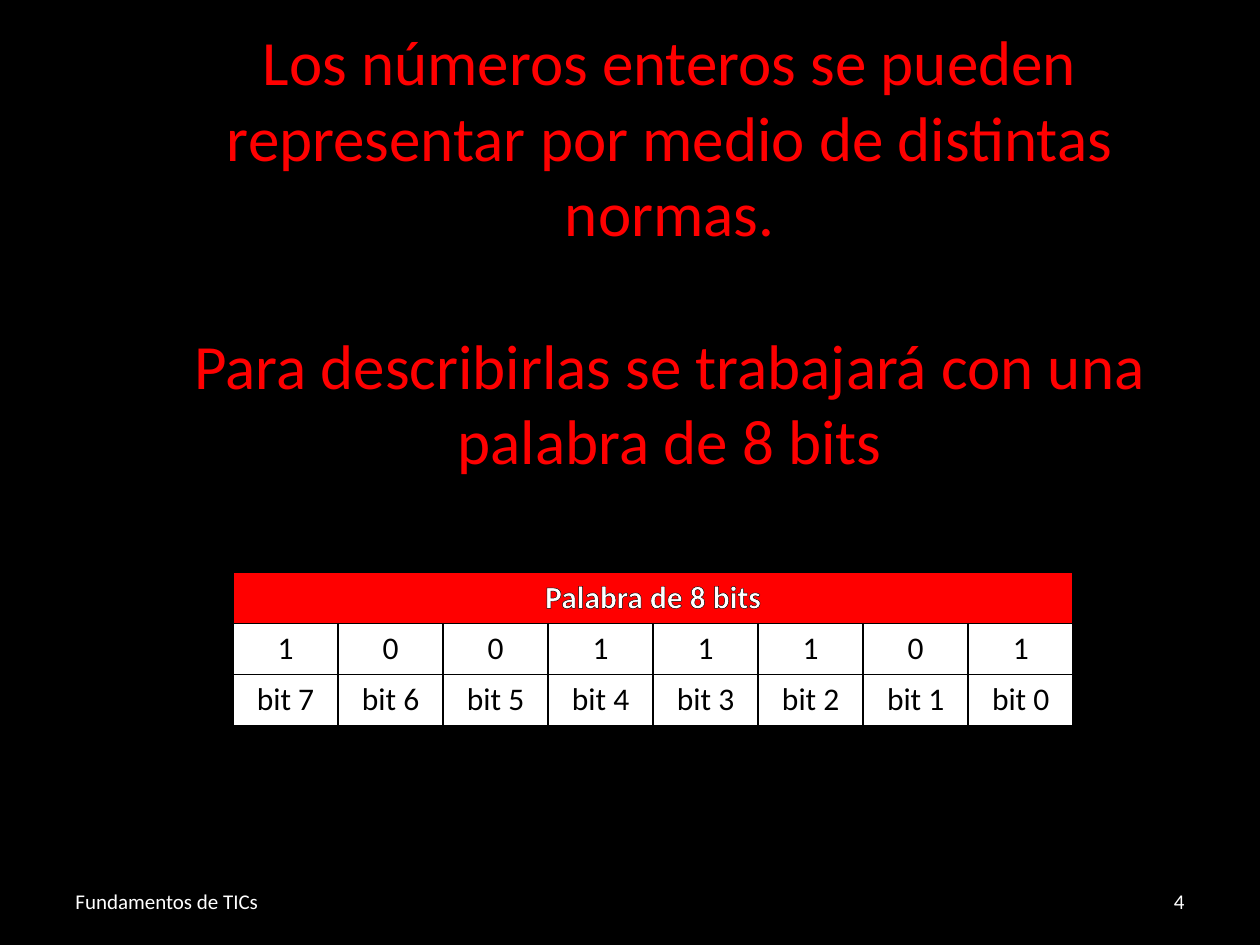
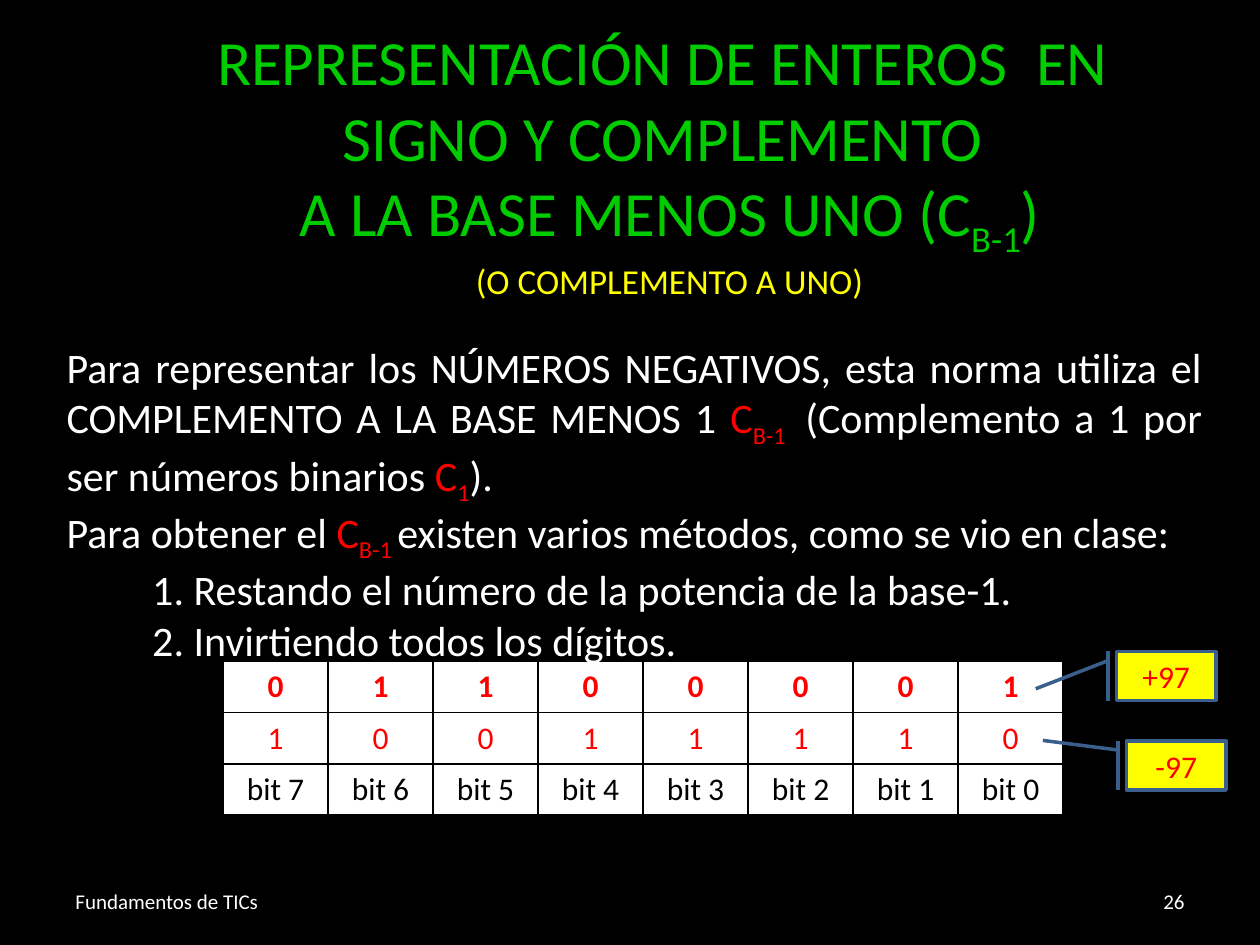
import pptx
import pptx.dml.color
import pptx.enum.shapes
import pptx.enum.text
import pptx.oxml
import pptx.oxml.ns
import pptx.util

Inches = pptx.util.Inches
Pt = pptx.util.Pt
RGBColor = pptx.dml.color.RGBColor
ALIGN = pptx.enum.text.PP_ALIGN
MIDDLE = pptx.enum.text.MSO_ANCHOR.MIDDLE

BLACK = RGBColor(0x00, 0x00, 0x00)
WHITE = RGBColor(0xFF, 0xFF, 0xFF)
RED = RGBColor(0xFF, 0x00, 0x00)
GREEN = RGBColor(0x00, 0xCC, 0x00)
YELLOW = RGBColor(0xFF, 0xFF, 0x00)
CALLOUT_BLUE = RGBColor(0x3A, 0x5F, 0x8C)

FONT = "Calibri"
TITLE_SIZE = 36
BITS = 8
BIT_NAMES = [f"bit {n}" for n in reversed(range(BITS))]
TABLE_SIZE = (6.67, 1.22)
SUBSCRIPT = {"baseline": -25}


def line_xml(tag, color, points):
    namespace = pptx.oxml.ns.nsdecls("a")
    return pptx.oxml.parse_xml(
        f'<a:{tag} {namespace} w="{Pt(points)}"><a:solidFill>'
        f'<a:srgbClr val="{color}"/></a:solidFill></a:{tag}>')


def add_run(paragraph, text, size=18, color=WHITE, bold=False, baseline=0,
            outlined=False):
    run = paragraph.add_run()
    run.text = text
    run.font.name = FONT
    run.font.size = Pt(size)
    run.font.bold = bold
    run.font.color.rgb = color
    properties = run.font._element
    if baseline:
        properties.set("baseline", str(baseline * 1000))
    if outlined:
        properties.insert(0, line_xml("ln", BLACK, 0.75))


def write(frame, *paragraphs, align=ALIGN.LEFT, **style):
    """Each paragraph is a string, or a list of strings and (string, style) pairs."""
    written = []
    for index, pieces in enumerate(paragraphs):
        paragraph = frame.add_paragraph() if index else frame.paragraphs[0]
        paragraph.alignment = align
        for piece in [pieces] if isinstance(pieces, str) else pieces:
            text, changes = (piece, {}) if isinstance(piece, str) else piece
            add_run(paragraph, text, **{**style, **changes})
        written.append(paragraph)
    return written


def add_text(slide, box, *paragraphs, anchor=None, **style):
    frame = slide.shapes.add_textbox(*map(Inches, box)).text_frame
    frame.word_wrap = True
    frame.vertical_anchor = anchor
    return write(frame, *paragraphs, **style)


def add_title(slide, height, *paragraphs, color):
    return add_text(slide, (1.3, 0.13, 8.03, height), *paragraphs,
                    align=ALIGN.CENTER, size=TITLE_SIZE, color=color)


def new_slide(deck, number):
    """Add a black slide with its footer and number."""
    slide = deck.slides.add_slide(deck.slide_layouts[6])
    slide.background.fill.solid()
    slide.background.fill.fore_color.rgb = BLACK
    add_text(slide, (0.5, 6.95, 2.61, 0.4), "Fundamentos de TICs",
             size=12, anchor=MIDDLE)
    add_text(slide, (7.17, 6.95, 2.33, 0.4), str(number),
             size=12, anchor=MIDDLE, align=ALIGN.RIGHT)
    return slide


def fill_cell(cell, text, fill=WHITE, **style):
    cell.fill.solid()
    cell.fill.fore_color.rgb = fill
    write(cell.text_frame, text, align=ALIGN.CENTER, **style)


def add_bit_table(slide, left, top, rows):
    """Each row is (texts, style); a row with a single text spans all bits."""
    box = map(Inches, (left, top, *TABLE_SIZE))
    table = slide.shapes.add_table(len(rows), BITS, *box).table
    table.first_row = table.horz_banding = False
    for row, (texts, style) in enumerate(rows):
        if len(texts) == 1:
            table.cell(row, 0).merge(table.cell(row, BITS - 1))
        for column, text in enumerate(texts):
            fill_cell(table.cell(row, column), text, **style)
    for cell in table.iter_cells():
        properties = cell._tc.get_or_add_tcPr()
        for index, side in enumerate(("lnL", "lnR", "lnT", "lnB")):
            properties.insert(index, line_xml(side, BLACK, 1))


def add_value_callout(slide, left, top, text, pointer):
    """The pointer is (down, across), as shares of the box."""
    kind = pptx.enum.shapes.MSO_SHAPE.LINE_CALLOUT_1_BORDER_AND_ACCENT_BAR
    callout = slide.shapes.add_shape(
        kind, *map(Inches, (left, top, 0.79, 0.39)))
    callout.shadow.inherit = False
    callout.fill.solid()
    callout.fill.fore_color.rgb = YELLOW
    callout.line.color.rgb = CALLOUT_BLUE
    callout.line.width = Pt(2)
    callout.adjustments[2], callout.adjustments[3] = pointer
    callout.text_frame.vertical_anchor = MIDDLE
    write(callout.text_frame, text, align=ALIGN.CENTER, color=RED)


def build_word_slide(deck):
    slide = new_slide(deck, 4)
    _, description = add_title(
        slide, 6.16,
        "Los números enteros se pueden representar por medio de distintas normas.",
        "Para describirlas se trabajará con una palabra de 8 bits",
        color=RED)
    description.space_before = Pt(44)
    add_bit_table(slide, 1.85, 4.54, [
        (["Palabra de 8 bits"],
         {"fill": RED, "color": WHITE, "bold": True, "outlined": True}),
        ("10011101", {"color": BLACK}),
        (BIT_NAMES, {"color": BLACK}),
    ])


def build_complement_slide(deck):
    slide = new_slide(deck, 26)
    add_title(
        slide, 5.89,
        "REPRESENTACIÓN DE ENTEROS  EN  SIGNO Y COMPLEMENTO ",
        ["A LA BASE MENOS UNO (C", ("B-1", SUBSCRIPT), ")"],
        [("(O COMPLEMENTO A UNO)", {"size": 20, "color": YELLOW})],
        color=GREEN)
    add_bit_table(slide, 1.77, 5.25, [
        ("01100001", {"color": RED, "bold": True, "outlined": True}),
        ("10011110", {"color": RED}),
        (BIT_NAMES, {"color": BLACK}),
    ])

    complement = ("C", {"color": RED})
    red_subscript = {"color": RED, **SUBSCRIPT}
    *_, subtracting, inverting = add_text(
        slide, (0.43, 2.66, 9.21, 3.73),
        ["Para representar los NÚMEROS NEGATIVOS, esta norma utiliza el "
         "COMPLEMENTO A LA BASE MENOS 1 ",
         complement, ("B-1  ", red_subscript),
         "(Complemento a 1 por ser números binarios ",
         complement, ("1", red_subscript), ")."],
        ["Para obtener el ", complement, ("B-1 ", red_subscript),
         "existen varios métodos, como se vio en clase:"],
        "1. Restando el número de la potencia de la base-1.",
        "2. Invirtiendo todos los dígitos.",
        align=ALIGN.JUSTIFY, size=24)
    for method in (subtracting, inverting):
        method._p.get_or_add_pPr().set("indent", str(Inches(0.68)))

    add_value_callout(slide, 8.86, 5.17, "+97", (0.76, -0.81))
    add_value_callout(slide, 8.94, 5.88, "-97", (-0.01, -0.84))


def main():
    deck = pptx.Presentation()
    deck.slide_width, deck.slide_height = Inches(10), Inches(7.5)
    build_word_slide(deck)
    build_complement_slide(deck)
    deck.save("out.pptx")


if __name__ == "__main__":
    main()
